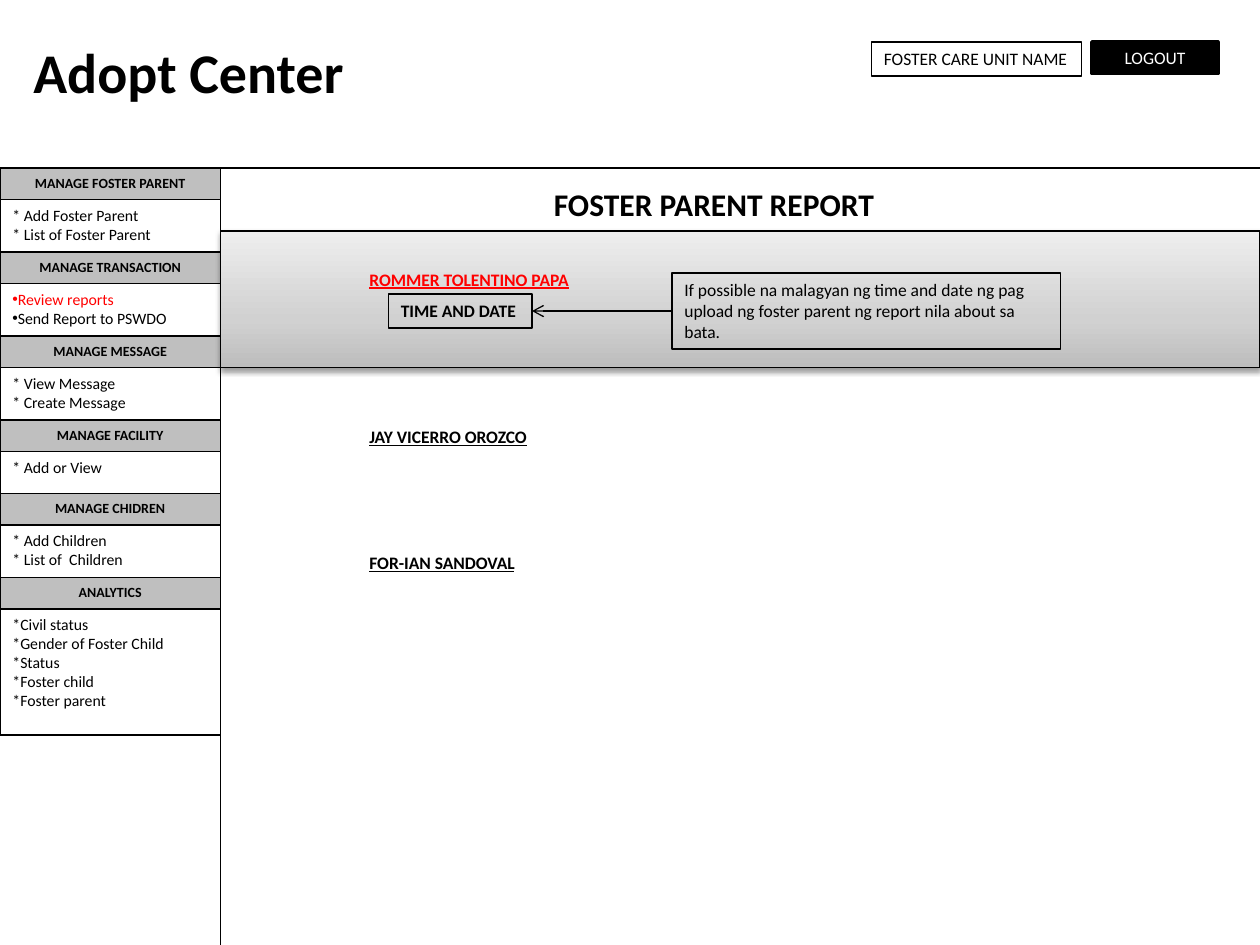
from lxml.etree import SubElement
from pptx import Presentation
from pptx.dml.color import RGBColor
from pptx.enum.shapes import MSO_CONNECTOR, MSO_SHAPE
from pptx.enum.text import MSO_ANCHOR, MSO_AUTO_SIZE, PP_ALIGN
from pptx.oxml import parse_xml
from pptx.oxml.ns import nsdecls, qn
from pptx.util import Pt

BLACK = RGBColor(0x00, 0x00, 0x00)
WHITE = RGBColor(0xFF, 0xFF, 0xFF)
GRAY = RGBColor(0xBF, 0xBF, 0xBF)
RED = RGBColor(0xFF, 0x00, 0x00)

SLIDE_WIDTH, SLIDE_HEIGHT = 720, 540
HEADER_BOTTOM = 96
SIDEBAR_WIDTH = 126
HEADING_HEIGHT = 18

MENU = [
    ("MANAGE FOSTER PARENT", 30, ["* Add Foster Parent", "* List of Foster Parent"]),
    ("MANAGE TRANSACTION", 30, ["Review reports", "Send Report to PSWDO"]),
    ("MANAGE MESSAGE", 30, ["* View Message", "* Create Message"]),
    ("MANAGE FACILITY", 24, ["* Add or View"]),
    ("MANAGE CHIDREN", 30, ["* Add Children", "* List of  Children"]),
    ("ANALYTICS", 72, ["*Civil status", "*Gender of Foster Child", "*Status",
                       "*Foster child", "*Foster parent"]),
]
BULLETED_HEADING = "MANAGE TRANSACTION"
CURRENT_ITEM = "Review reports"

BAND_GRADIENT = f"""<a:gradFill {nsdecls('a')} rotWithShape="1"><a:gsLst>
<a:gs pos="0"><a:srgbClr val="BDBDBD"/></a:gs>
<a:gs pos="35000"><a:srgbClr val="D1D1D1"/></a:gs>
<a:gs pos="100000"><a:srgbClr val="EEEEEE"/></a:gs>
</a:gsLst><a:lin ang="16200000" scaled="1"/></a:gradFill>"""
BAND_SHADOW = f"""<a:effectLst {nsdecls('a')}>
<a:outerShdw blurRad="{Pt(3.1)}" dist="{Pt(1.6)}" dir="5400000" rotWithShape="0">
<a:srgbClr val="000000"><a:alpha val="38000"/></a:srgbClr>
</a:outerShdw></a:effectLst>"""


def write_text(shape, lines, size=10, color=BLACK, bold=False, underline=False,
               align=PP_ALIGN.LEFT, anchor=MSO_ANCHOR.TOP, wrap=True, grow=False,
               bullet=False, accents=()):
    """Fill a shape with one paragraph per line; lines in accents turn red."""
    frame = shape.text_frame
    frame.word_wrap = wrap
    frame.auto_size = MSO_AUTO_SIZE.SHAPE_TO_FIT_TEXT if grow else MSO_AUTO_SIZE.NONE
    frame.vertical_anchor = anchor
    for index, line in enumerate(lines):
        paragraph = frame.add_paragraph() if index else frame.paragraphs[0]
        paragraph.alignment = align
        if bullet:
            properties = paragraph._p.get_or_add_pPr()
            SubElement(properties, qn("a:buFont")).set("typeface", "Arial")
            SubElement(properties, qn("a:buChar")).set("char", "•")
        run = paragraph.add_run()
        run.text = line
        font = run.font
        font.name = "Calibri"
        font.size = Pt(size)
        font.bold = bold
        font.underline = underline
        font.color.rgb = RED if line in accents else color


class Page:
    line_width = 0.75

    def __init__(self, slide):
        self.slide = slide

    def box(self, left, top, width, height, lines=(), fill=None, line_width=None, **text_format):
        shape = self.slide.shapes.add_shape(
            MSO_SHAPE.RECTANGLE, Pt(left), Pt(top), Pt(width), Pt(height))
        shape.shadow.inherit = False
        if fill is None:
            shape.fill.background()
        else:
            shape.fill.solid()
            shape.fill.fore_color.rgb = fill
        shape.line.color.rgb = BLACK
        shape.line.width = Pt(line_width or self.line_width)
        write_text(shape, lines, **text_format)
        return shape

    def label(self, left, top, width, height, text, **text_format):
        shape = self.slide.shapes.add_textbox(Pt(left), Pt(top), Pt(width), Pt(height))
        write_text(shape, [text], bold=True, grow=True, **text_format)

    def line(self, start_x, start_y, end_x, end_y):
        connector = self.slide.shapes.add_connector(
            MSO_CONNECTOR.STRAIGHT, Pt(start_x), Pt(start_y), Pt(end_x), Pt(end_y))
        connector.line.color.rgb = BLACK
        connector.line.width = Pt(self.line_width)
        SubElement(connector._element.spPr, qn("a:effectLst"))
        return connector

    def arrow(self, source, source_side, target, target_side):
        connector = self.line(0, 0, 0, 0)
        connector.begin_connect(source, source_side)
        connector.end_connect(target, target_side)
        SubElement(connector.line._get_or_add_ln(), qn("a:tailEnd")).set("type", "arrow")

    def band(self, left, top, width, height):
        """Draw the highlighted report row with its gradient and shadow."""
        shape = self.box(left, top, width, height)
        properties = shape._element.spPr
        properties.replace(properties.find(qn("a:noFill")), parse_xml(BAND_GRADIENT))
        properties.replace(properties.find(qn("a:effectLst")), parse_xml(BAND_SHADOW))

    def menu(self):
        top = HEADER_BOTTOM
        for heading, height, items in MENU:
            self.box(0, top, SIDEBAR_WIDTH, HEADING_HEIGHT, [heading], fill=GRAY,
                     size=8, bold=True, align=PP_ALIGN.CENTER)
            top += HEADING_HEIGHT
            self.box(0, top, SIDEBAR_WIDTH, height, items, fill=WHITE, size=9,
                     bullet=heading == BULLETED_HEADING, accents=[CURRENT_ITEM])
            top += height


def main():
    presentation = Presentation()
    presentation.slide_width = Pt(SLIDE_WIDTH)
    presentation.slide_height = Pt(SLIDE_HEIGHT)
    page = Page(presentation.slides.add_slide(presentation.slide_layouts[6]))

    page.line(SIDEBAR_WIDTH, HEADER_BOTTOM, SIDEBAR_WIDTH, SLIDE_HEIGHT)
    page.line(0, HEADER_BOTTOM, SLIDE_WIDTH, HEADER_BOTTOM)
    page.label(12, 18, 318, 46, "Adopt Center", size=32)
    page.box(498, 24, 120, 19.5, ["FOSTER CARE UNIT NAME"], grow=True)
    page.box(624, 24, 72, 18, ["LOGOUT"], fill=BLACK, line_width=2, color=WHITE,
             align=PP_ALIGN.CENTER, anchor=MSO_ANCHOR.MIDDLE)
    page.menu()

    page.label(276, 102, 264, 29, "FOSTER PARENT REPORT", size=18, align=PP_ALIGN.CENTER)
    page.band(SIDEBAR_WIDTH, 132, SLIDE_WIDTH - SIDEBAR_WIDTH, 78)
    for name, top, width, color in [
        ("ROMMER TOLENTINO PAPA", 150, 131.5, RED),
        ("JAY VICERRO OROZCO", 240, 107.5, BLACK),
        ("FOR-IAN SANDOVAL", 312, 99.5, BLACK),
    ]:
        page.label(204, top, width, 19.5, name, color=color, underline=True, wrap=False)

    time_box = page.box(222, 168, 82, 19.5, ["TIME AND DATE"], bold=True, wrap=False, grow=True)
    note = page.box(384, 156, 222, 43.5, [
        "If possible na malagyan ng time and date ng pag upload ng foster parent "
        "ng report nila about sa bata."], grow=True)
    page.arrow(note, 1, time_box, 3)

    presentation.save("out.pptx")


if __name__ == "__main__":
    main()
